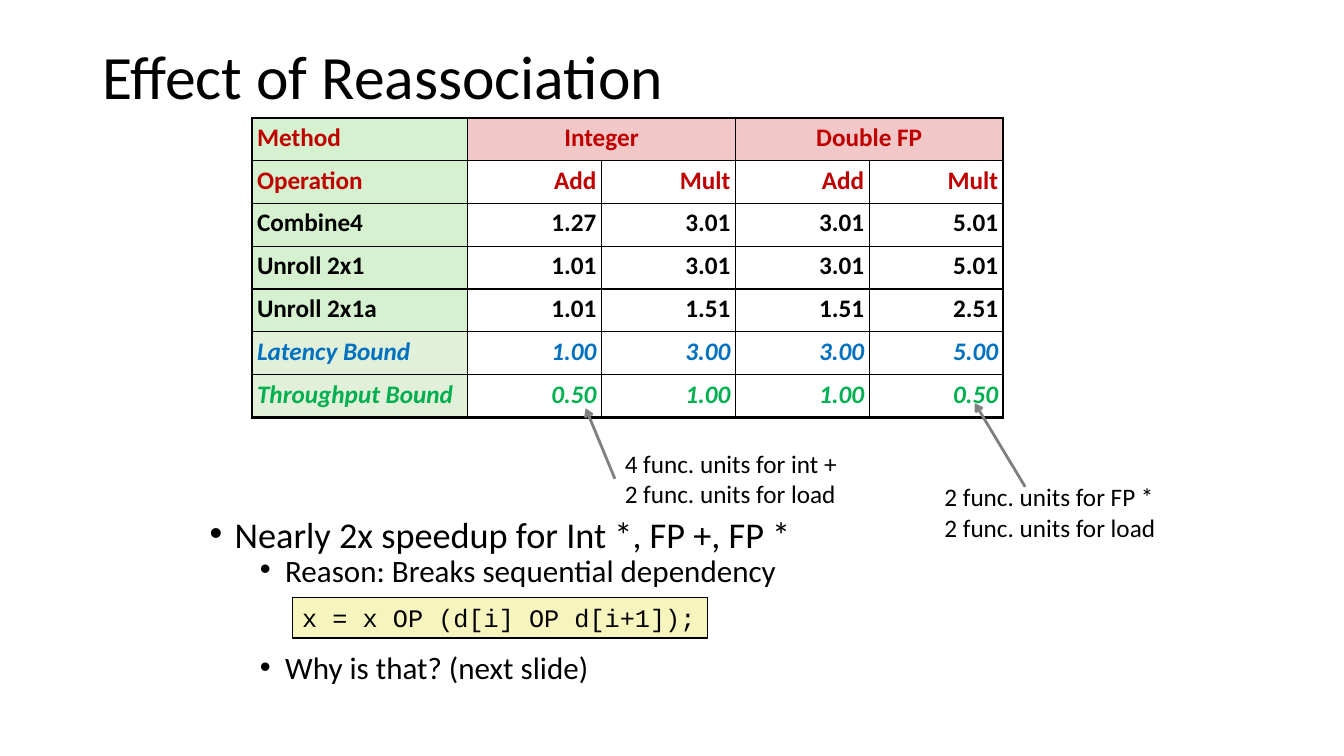
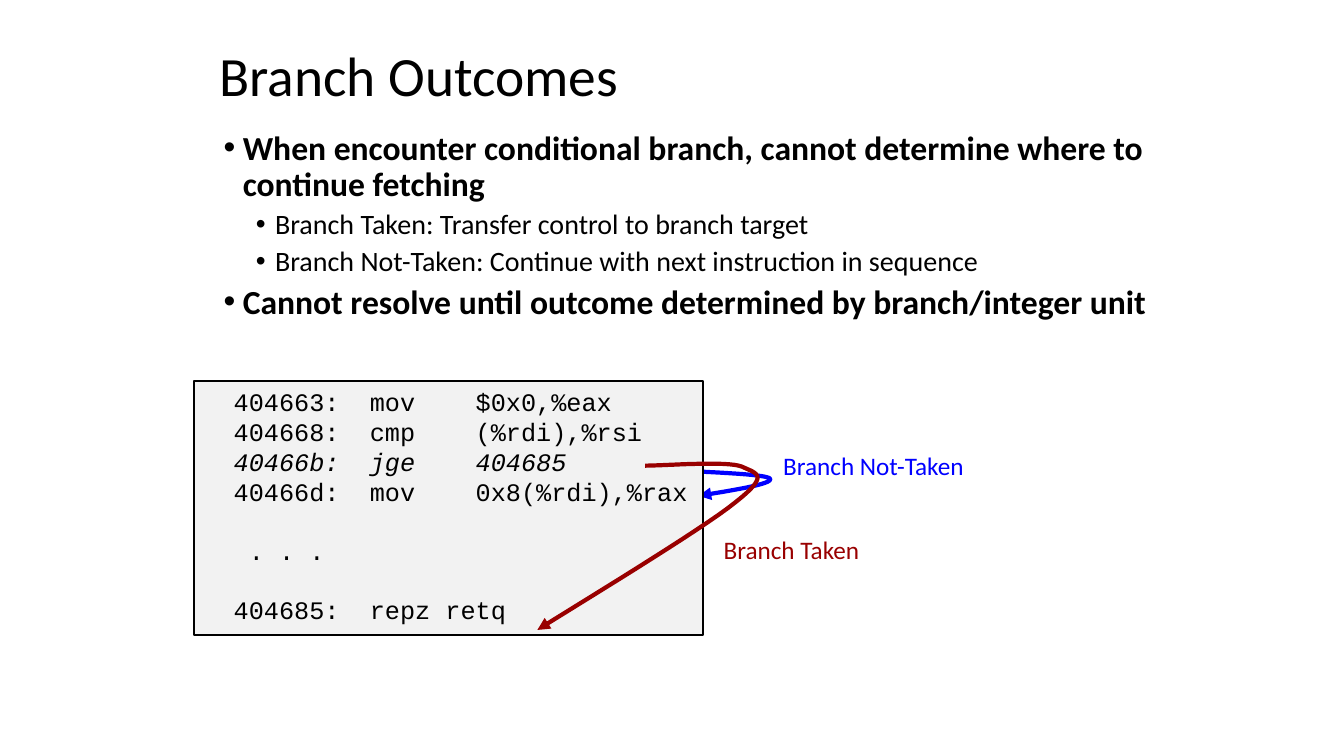
"""Build two slides on reassociation and branch outcomes."""
from dataclasses import dataclass

from lxml import etree
from pptx import Presentation
from pptx import util as u
from pptx.dml.color import RGBColor
from pptx.enum import shapes, text
from pptx.oxml.ns import qn


@dataclass(frozen=True)
class Theme:
    font: str = "Calibri"
    code_font: str = "Courier New"
    black: str = "000000"
    white: str = "FFFFFF"
    gray: str = "808080"
    heading: str = "C00000"
    latency: str = "0070C0"
    throughput: str = "00B050"
    label_fill: str = "D5F1CF"
    bound_fill: str = "E2F0D9"
    type_fill: str = "F1C7C7"
    code_yellow: str = "F6F5BD"
    code_gray: str = "F2F2F2"
    not_taken: str = "0000FF"
    taken: str = "990000"
    title: float = 44
    small_title: float = 39.6
    label: float = 18
    code_line: float = 20.4
    thin: float = 1
    thick: float = 2.25


theme = Theme()
presentation = Presentation()
presentation.slide_width = u.Inches(13.33)
presentation.slide_height = u.Inches(7.5)
column = presentation.slide_width / 100
row = presentation.slide_height / 100


def add_text(slide, box, lines, size=theme.label, color=theme.black,
             font=theme.font, fill=None, border=theme.thin):
    left, top, width, height = box
    shape = slide.shapes.add_shape(
        shapes.MSO_SHAPE.RECTANGLE, int(left * column), int(top * row),
        int(width * column), int(height * row),
    ) if fill else slide.shapes.add_textbox(
        int(left * column), int(top * row), int(width * column), int(height * row))
    if fill:
        shape.shadow.inherit = False
        shape.fill.solid()
        shape.fill.fore_color.rgb = RGBColor.from_string(fill)
        shape.line.color.rgb = RGBColor.from_string(theme.black)
        shape.line.width = u.Pt(border)
    frame = shape.text_frame
    frame.word_wrap = True
    frame.vertical_anchor = text.MSO_ANCHOR.TOP
    frame.text = "\n".join(lines)
    for paragraph in frame.paragraphs:
        paragraph.alignment = text.PP_ALIGN.LEFT
        for run in paragraph.runs:
            run.font.name = font
            run.font.size = u.Pt(size)
            run.font.color.rgb = RGBColor.from_string(color)
    return shape


def style_arrow(line, color, width, end, kind):
    line.line.color.rgb = RGBColor.from_string(color)
    line.line.width = u.Pt(width)
    properties = line._element.spPr
    etree.SubElement(properties.find(qn("a:ln")), qn(end), type=kind)
    etree.SubElement(properties, qn("a:effectLst"))


pages = [
    ("Effect of Reassociation", theme.title, (6.9, 5.33, 86.25, 10.27),
     (14.85, 68.67, 68.18, 25.33), 0.7, 0.25, [
        ("Nearly 2x speedup for Int *, FP +, FP *", 25.9, False, 0.25, 0),
        ("Reason: Breaks sequential dependency", 22.2, False, 0.75, 5),
        ("Why is that? (next slide)", 22.2, False, 0.75, 51)]),
    ("Branch Outcomes", theme.small_title, (15.6, 6.13, 48.68, 8.4),
     (15, 16.67, 71.85, 26.67), 0.9, 0.19, [
        ("When encounter conditional branch, cannot determine where to "
         "continue fetching", 24, True, 0.31, 0),
        ("Branch Taken: Transfer control to branch target", 20, False, 0.63, 5),
        ("Branch Not-Taken: Continue with next instruction in sequence",
         20, False, 0.63, 5),
        ("Cannot resolve until outcome determined by branch/integer unit",
         24, True, 0.31, 5)]),
]
slides = []
for title, title_size, title_box, body_box, spacing, hang, points in pages:
    slide = presentation.slides.add_slide(presentation.slide_layouts[6])
    slides.append(slide)
    title_frame = add_text(slide, title_box, [title], title_size).text_frame
    title_frame.vertical_anchor = text.MSO_ANCHOR.MIDDLE
    title_frame.paragraphs[0].line_spacing = 0.9
    body = add_text(slide, body_box, [point[0] for point in points])
    for paragraph, point in zip(body.text_frame.paragraphs, points):
        _, size, bold, indent, before = point
        properties = paragraph._p.get_or_add_pPr()
        properties.set("marL", str(u.Inches(indent)))
        properties.set("indent", str(-u.Inches(hang)))
        etree.SubElement(properties, qn("a:buFont"), typeface="Arial")
        etree.SubElement(properties, qn("a:buChar"), char="•")
        paragraph.line_spacing = spacing
        paragraph.space_before = u.Pt(before)
        paragraph.runs[0].font.size = u.Pt(size)
        paragraph.runs[0].font.bold = bold
reassociation, branches = slides

add_text(reassociation, (21.75, 79.07, 30.9, 5.33), ["x = x OP (d[i] OP d[i+1]);"],
         font=theme.code_font, fill=theme.code_yellow)

results = [
    (theme.heading, theme.label_fill, ["Method", "Integer", "", "Double FP", ""]),
    (theme.heading, theme.label_fill, ["Operation", "Add", "Mult", "Add", "Mult"]),
    (theme.black, theme.label_fill, ["Combine4", "1.27", "3.01", "3.01", "5.01"]),
    (theme.black, theme.label_fill, ["Unroll 2x1", "1.01", "3.01", "3.01", "5.01"]),
    (theme.black, theme.label_fill, ["Unroll 2x1a", "1.01", "1.51", "1.51", "2.51"]),
    (theme.latency, theme.bound_fill,
     ["Latency Bound", "1.00", "3.00", "3.00", "5.00"]),
    (theme.throughput, theme.bound_fill,
     ["Throughput Bound", "0.50", "1.00", "1.00", "0.50"]),
]
widths = [16.05] + [9.96] * 4
row_height = 5.66
last_row, last_column = len(results) - 1, len(widths) - 1
table = reassociation.shapes.add_table(
    len(results), len(widths), int(18.75 * column), int(15.6 * row),
    int(sum(widths) * column), int(len(results) * row_height * row)).table
table.first_row = table.horz_banding = False
for table_column, width in zip(table.columns, widths):
    table_column.width = int(width * column)
for first in (1, 3):
    table.cell(0, first).merge(table.cell(0, first + 1))
for r, (color, label_fill, values) in enumerate(results):
    table.rows[r].height = int(row_height * row)
    for c, value in enumerate(values):
        cell = table.cell(r, c)
        cell.margin_left = cell.margin_right = u.Inches(0.05)
        cell.margin_top = cell.margin_bottom = u.Inches(0.05)
        outer = {"a:lnL": c == 0,
                 "a:lnR": c == last_column or (r == 0 and c == last_column - 1),
                 "a:lnT": r == 0, "a:lnB": r == last_row}
        for side, is_outer in outer.items():
            border = etree.SubElement(
                cell._tc.get_or_add_tcPr(), qn(side),
                w=str(u.Pt(theme.thick if is_outer else theme.thin)))
            paint = etree.SubElement(border, qn("a:solidFill"))
            etree.SubElement(paint, qn("a:srgbClr"), val=theme.black)
        cell.fill.solid()
        cell.fill.fore_color.rgb = RGBColor.from_string(
            label_fill if c == 0 else theme.type_fill if r == 0 else theme.white)
        if not value:
            continue
        cell.text_frame.text = value
        paragraph = cell.text_frame.paragraphs[0]
        paragraph.line_spacing = 0.95
        paragraph.alignment = (
            text.PP_ALIGN.LEFT if c == 0
            else text.PP_ALIGN.CENTER if r == 0 else text.PP_ALIGN.RIGHT)
        font = paragraph.runs[0].font
        font.name, font.size, font.bold = theme.font, u.Pt(theme.label), True
        font.italic = label_fill == theme.bound_fill
        font.color.rgb = RGBColor.from_string(color)

unit_notes = [
    ("2 func. units for FP *", (69.53, 63.07), (76.28, 64.4), (72.53, 53.33)),
    ("4 func. units for int +", (45.75, 58.67), (45.75, 63.33), (43.58, 54)),
]
for note, corner, start, end in unit_notes:
    arrow = reassociation.shapes.add_connector(
        shapes.MSO_CONNECTOR.STRAIGHT, int(start[0] * column), int(start[1] * row),
        int(end[0] * column), int(end[1] * row))
    style_arrow(arrow, theme.gray, 2, "a:tailEnd", "arrow")
    add_text(reassociation, (*corner, 18, 9.47), [note, "2 func. units for load"])

assembly = [
    "  404663:  mov    $0x0,%eax",
    "  404668:  cmp    (%rdi),%rsi",
    "  40466b:  jge    404685",
    "  40466d:  mov    0x8(%rdi),%rax",
    "   . . .",
    "  404685:  repz retq",
]
curves = [
    (theme.not_taken, "a:tailEnd", [
        (50.63, 62.27), (53.85, 62.53), (57.08, 62.8), (57.3, 63.33),
        (57.53, 64), (54.75, 64.8), (51.98, 65.6)]),
    (theme.taken, "a:headEnd", [
        (39.98, 83.33), (42.45, 80.53), (52.28, 70), (54.75, 66.4),
        (57.3, 62.8), (56.33, 62.67), (55.2, 61.73),
        (54.08, 60.93), (49.5, 61.6), (48, 61.6)]),
]
steps = 16
for color, end, controls in curves:
    if color == theme.taken:
        code = add_text(branches, (14.4, 50.4, 37.88, 33.6), assembly,
                        font=theme.code_font, fill=theme.code_gray, border=1.5)
    points = []
    for first in range(0, len(controls) - 1, 3):
        for step in range(1, steps + 1):
            t = step / steps
            weights = ((1 - t) ** 3, 3 * t * (1 - t) ** 2, 3 * t ** 2 * (1 - t), t ** 3)
            knots = list(zip(weights, controls[first:first + 4]))
            points.append((int(sum(w * x for w, (x, _) in knots) * column),
                           int(sum(w * y for w, (_, y) in knots) * row)))
    start_x, start_y = controls[0]
    builder = branches.shapes.build_freeform(int(start_x * column), int(start_y * row))
    builder.add_line_segments(points, close=False)
    curve = builder.convert_to_shape()
    curve.fill.background()
    style_arrow(curve, color, 3, end, "triangle")
code_lines = code.text_frame.paragraphs
code_lines[2].runs[0].font.italic = True
for paragraph in code_lines[4:]:
    paragraph.space_before = u.Pt(theme.code_line)

add_text(branches, (53.1, 70, 13, 5.33), ["Branch Taken"], color=theme.taken)
add_text(branches, (57.53, 58.93, 15.15, 5.33), ["Branch Not-Taken"],
         color=theme.not_taken)

presentation.save("out.pptx")
